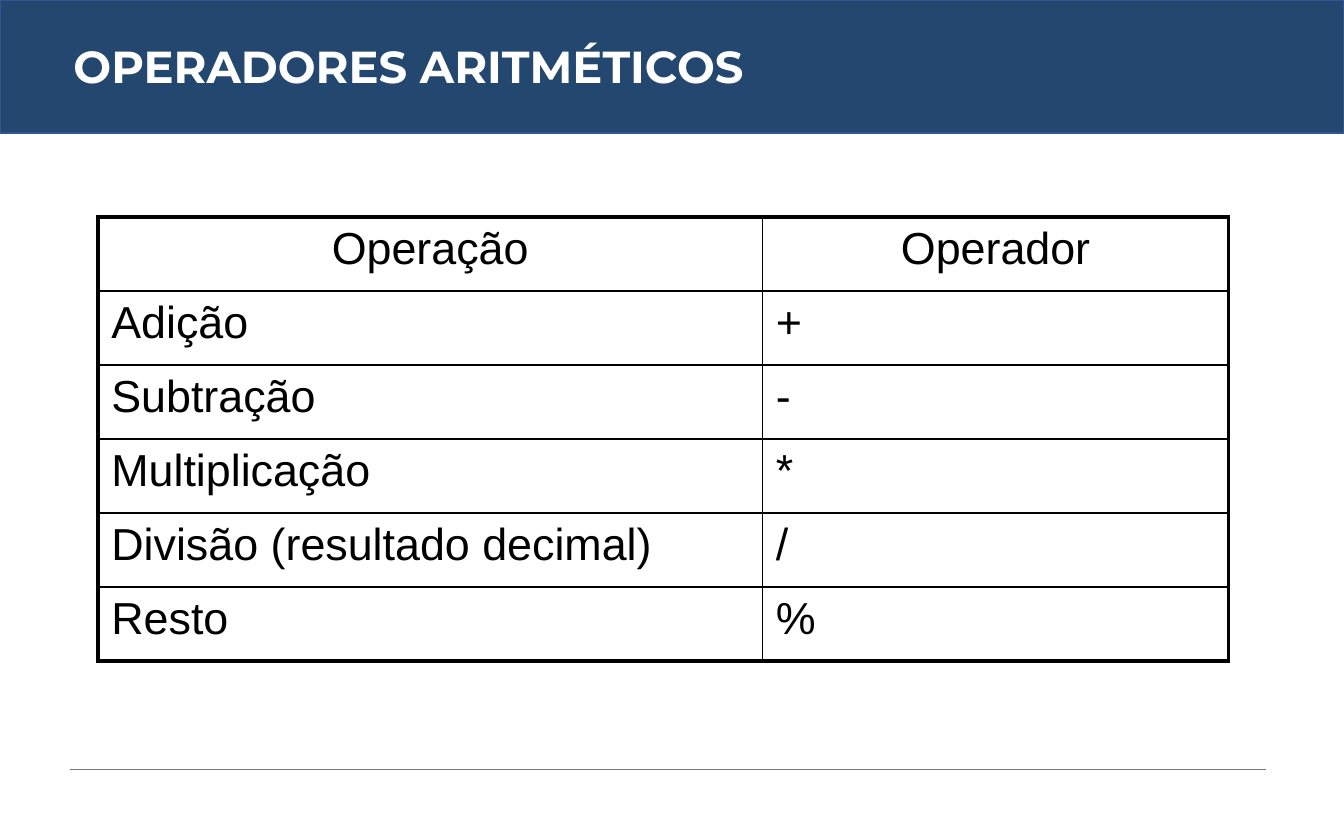
from lxml.etree import SubElement
from pptx import Presentation
from pptx.dml.color import RGBColor
from pptx.enum.shapes import MSO_CONNECTOR, MSO_SHAPE
from pptx.enum.text import PP_ALIGN
from pptx.oxml.ns import qn
from pptx.util import Cm, Pt

# Content
TITLE = "OPERADORES ARITMÉTICOS"
ROWS = [
    ("Operação", "Operador"),
    ("Adição", "+"),
    ("Subtração", "-"),
    ("Multiplicação", "*"),
    ("Divisão (resultado decimal)", "/"),
    ("Resto", "%"),
]
COLUMN_WIDTHS = (12.56, 8.81)
ROW_HEIGHT = 1.4

THEME = {
    "banner": "23476F",
    "banner_line": "325491",
    "rule": "767676",
    "white": "FFFFFF",
    "black": "000000",
    "title_font": "Montserrat",
    "body_font": "Arial",
    "text_size": 24,
    "outer_border": 2.25,
    "inner_border": 1,
}


def color(name):
    return RGBColor.from_string(THEME[name])


def add_text(paragraph, text, font, text_color, bold=False):
    run = paragraph.add_run()
    run.text = text
    run.font.name = THEME[font]
    run.font.size = Pt(THEME["text_size"])
    run.font.bold = bold
    run.font.color.rgb = color(text_color)


def add_border(cell, side, width):
    properties = cell._tc.get_or_add_tcPr()
    line = SubElement(properties, qn(f"a:{side}"), w=str(Pt(width)))
    fill = SubElement(line, qn("a:solidFill"))
    SubElement(fill, qn("a:srgbClr"), val=THEME["black"])


def add_banner(slide, width):
    banner = slide.shapes.add_shape(MSO_SHAPE.RECTANGLE, 0, 0, width, Cm(2.51))
    banner.shadow.inherit = False
    banner.fill.solid()
    banner.fill.fore_color.rgb = color("banner")
    banner.line.color.rgb = color("banner_line")
    banner.line.width = Pt(1)

    title = slide.shapes.add_textbox(Cm(1.14), Cm(0.61), Cm(20.47), Cm(1.28))
    title.text_frame.word_wrap = True
    add_text(title.text_frame.paragraphs[0], TITLE, "title_font", "white", bold=True)


def add_footer_rule(slide):
    rule = slide.shapes.add_connector(
        MSO_CONNECTOR.STRAIGHT, Cm(1.32), Cm(14.55), Cm(23.93), Cm(14.55))
    rule.line.color.rgb = color("rule")
    rule.line.width = Pt(0.5)
    SubElement(rule._element.spPr, qn("a:effectLst"))


def add_operator_table(slide):
    row_count, column_count = len(ROWS), len(COLUMN_WIDTHS)
    table = slide.shapes.add_table(
        row_count, column_count, Cm(1.85), Cm(4.1),
        Cm(sum(COLUMN_WIDTHS)), Cm(ROW_HEIGHT * row_count)).table
    table.first_row = table.horz_banding = False
    for column, width in zip(table.columns, COLUMN_WIDTHS):
        column.width = Cm(width)

    for row_index, row in enumerate(ROWS):
        table.rows[row_index].height = Cm(ROW_HEIGHT)
        for column_index, text in enumerate(row):
            cell = table.cell(row_index, column_index)
            paragraph = cell.text_frame.paragraphs[0]
            paragraph.alignment = PP_ALIGN.CENTER if row_index == 0 else PP_ALIGN.LEFT
            add_text(paragraph, text, "body_font", "black")
            # The table's outline is thicker than its inner grid
            on_outline = {
                "lnL": column_index == 0,
                "lnR": column_index == column_count - 1,
                "lnT": row_index == 0,
                "lnB": row_index == row_count - 1,
            }
            for side, outer in on_outline.items():
                add_border(cell, side, THEME["outer_border" if outer else "inner_border"])
            cell.fill.background()


def main():
    presentation = Presentation()
    presentation.slide_width = Cm(25.4)
    presentation.slide_height = Cm(15.88)
    slide = presentation.slides.add_slide(presentation.slide_layouts[6])
    add_banner(slide, presentation.slide_width)
    add_footer_rule(slide)
    add_operator_table(slide)
    presentation.save("out.pptx")


if __name__ == "__main__":
    main()
